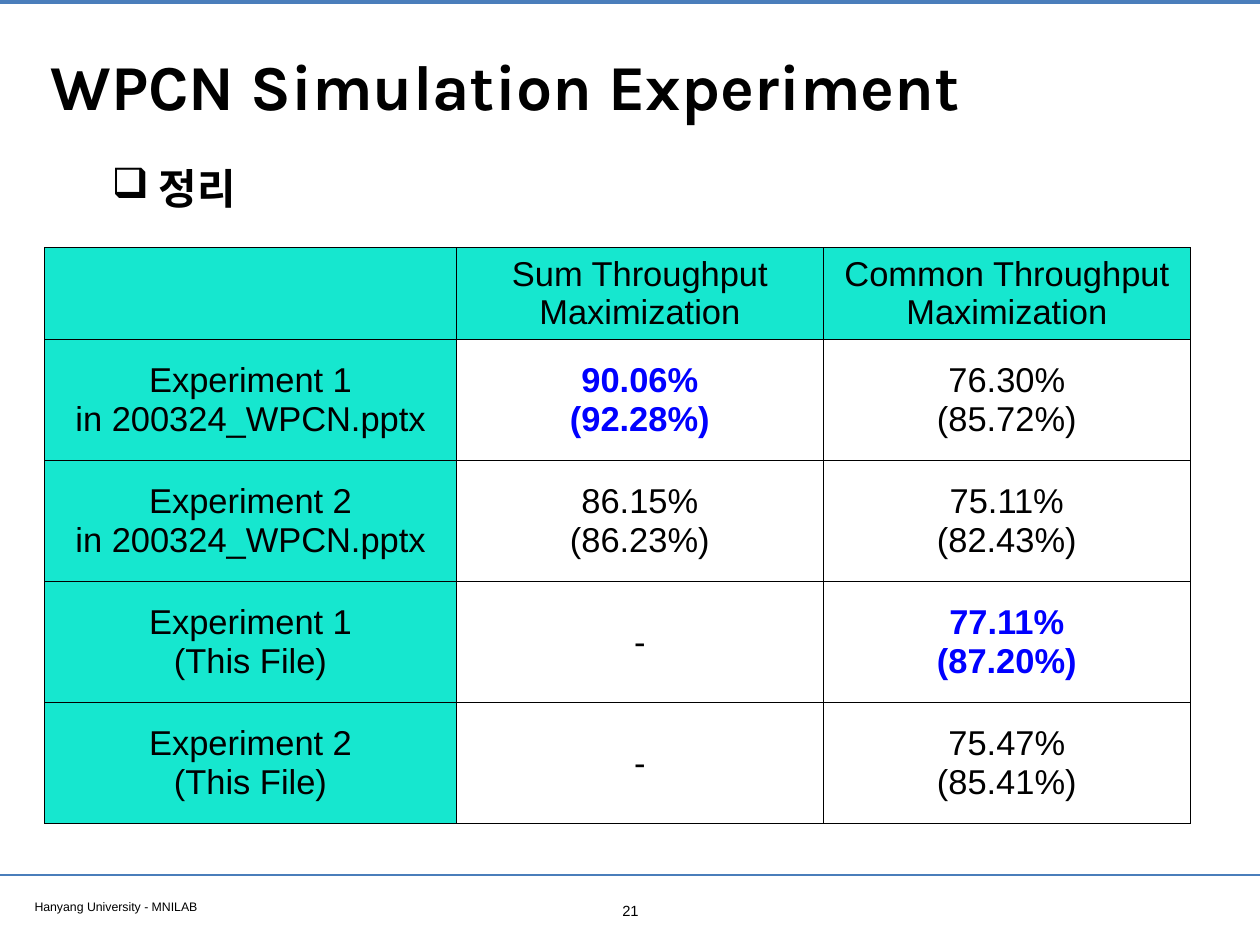
from lxml import etree
from pptx import Presentation
from pptx import util as u
from pptx.dml.color import RGBColor
from pptx.enum import shapes, text
from pptx.oxml import ns

COLORS = {"ink": "000000", "best": "0000FF", "label": "16E7CF",
          "paper": "FFFFFF", "rule": "4A7EBB"}
WIDTH, HEIGHT = 36.12, 27.1
HEADER = ["", "Sum Throughput\nMaximization", "Common Throughput\nMaximization"]
RESULTS = [
    ["Experiment 1\nin 200324_WPCN.pptx", "90.06%\n(92.28%)", "76.30%\n(85.72%)"],
    ["Experiment 2\nin 200324_WPCN.pptx", "86.15%\n(86.23%)", "75.11%\n(82.43%)"],
    ["Experiment 1\n(This File)", "-", "77.11%\n(87.20%)"],
    ["Experiment 2\n(This File)", "-", "75.47%\n(85.41%)"],
]
BEST = {(1, 1), (3, 2)}


def rgb(name):
    return RGBColor.from_string(COLORS[name])


def sub(parent, tag, **attrs):
    return etree.SubElement(parent, ns.qn(tag), attrs)


class Deck:
    font = "Arial"
    inset = u.Cm(0.15)

    def __init__(self):
        self.prs = Presentation()
        self.prs.slide_width, self.prs.slide_height = u.Cm(WIDTH), u.Cm(HEIGHT)
        self.s = self.prs.slides.add_slide(self.prs.slide_layouts[6])

    def rule(self, y, weight):
        ln = self.s.shapes.add_connector(shapes.MSO_CONNECTOR.STRAIGHT,
                                         0, u.Cm(y), u.Cm(WIDTH), u.Cm(y))
        ln.line.color.rgb = rgb("rule")
        ln.line.width = u.Pt(weight)
        sub(ln._element.spPr, "a:effectLst")

    def run(self, p, words, size, font=None, bold=False, color="ink"):
        r = p.add_run()
        r.text = words
        r.font.size, r.font.bold = u.Pt(size), bold
        r.font.name = font or self.font
        r.font.color.rgb = rgb(color)

    def text(self, box, words, size, font=None, bold=False,
             align=text.PP_ALIGN.LEFT, anchor=text.MSO_ANCHOR.TOP):
        sp = self.s.shapes.add_textbox(*map(u.Cm, box))
        tf = sp.text_frame
        tf.word_wrap = True
        tf.vertical_anchor = anchor
        tf.margin_left = tf.margin_right = self.inset
        tf.margin_top = tf.margin_bottom = self.inset
        p = tf.paragraphs[0]
        p.alignment = align
        self.run(p, words, size, font, bold)
        return p

    def bullet(self, box, words, size, font, indent):
        p = self.text(box, words, size, font, bold=True)
        p.line_spacing = 1.2
        pPr = p._p.get_or_add_pPr()
        pPr.set("marL", str(u.Cm(indent)))
        pPr.set("indent", str(-u.Cm(indent)))
        sub(pPr, "a:buChar", char="❑")

    def borders(self, cell):
        tcPr = cell._tc.get_or_add_tcPr()
        for i, side in enumerate(("a:lnL", "a:lnR", "a:lnT", "a:lnB")):
            ln = etree.Element(ns.qn(side), w=str(u.Pt(1)))
            sub(sub(ln, "a:solidFill"), "a:srgbClr", val=COLORS["ink"])
            tcPr.insert(i, ln)

    def table(self, left, top, widths, heights, rows, best, size):
        tbl = self.s.shapes.add_table(
            len(rows), len(widths), u.Cm(left), u.Cm(top),
            u.Cm(sum(widths)), u.Cm(sum(heights))).table
        for col, w in zip(tbl.columns, widths):
            col.width = u.Cm(w)
        for row, h in zip(tbl.rows, heights):
            row.height = u.Cm(h)
        for i, row in enumerate(rows):
            for j, words in enumerate(row):
                cell = tbl.cell(i, j)
                cell.fill.solid()
                cell.fill.fore_color.rgb = rgb("paper" if i and j else "label")
                cell.vertical_anchor = text.MSO_ANCHOR.MIDDLE
                self.borders(cell)
                tf = cell.text_frame
                top_pick = (i, j) in best
                for n, line in enumerate(words.split("\n") if words else []):
                    p = tf.add_paragraph() if n else tf.paragraphs[0]
                    p.alignment = text.PP_ALIGN.CENTER
                    self.run(p, line, size, bold=top_pick,
                             color="best" if top_pick else "ink")


def main():
    d = Deck()
    d.rule(0.05, 3.2)
    d.rule(25.1, 2)
    d.text((0.84, 25.63, 13.87, 0.66), "Hanyang University - MNILAB", 10)
    d.text((1.3, 0.71, 33.55, 3.43), "WPCN Simulation Experiment", 52, "Karla",
           bold=True, anchor=text.MSO_ANCHOR.MIDDLE)
    d.text((17.58, 25.7, 0.99, 0.79), "21", 12, align=text.PP_ALIGN.CENTER)
    d.bullet((3.05, 4.24, 32.18, 2.5), "정리", 34, "Times New Roman", 1.35)
    d.table(1.28, 7.11, [11.8, 10.52, 10.52], [2.46] + [3.47] * len(RESULTS),
            [HEADER] + RESULTS, BEST, 28)
    d.prs.save("out.pptx")


if __name__ == "__main__":
    main()
